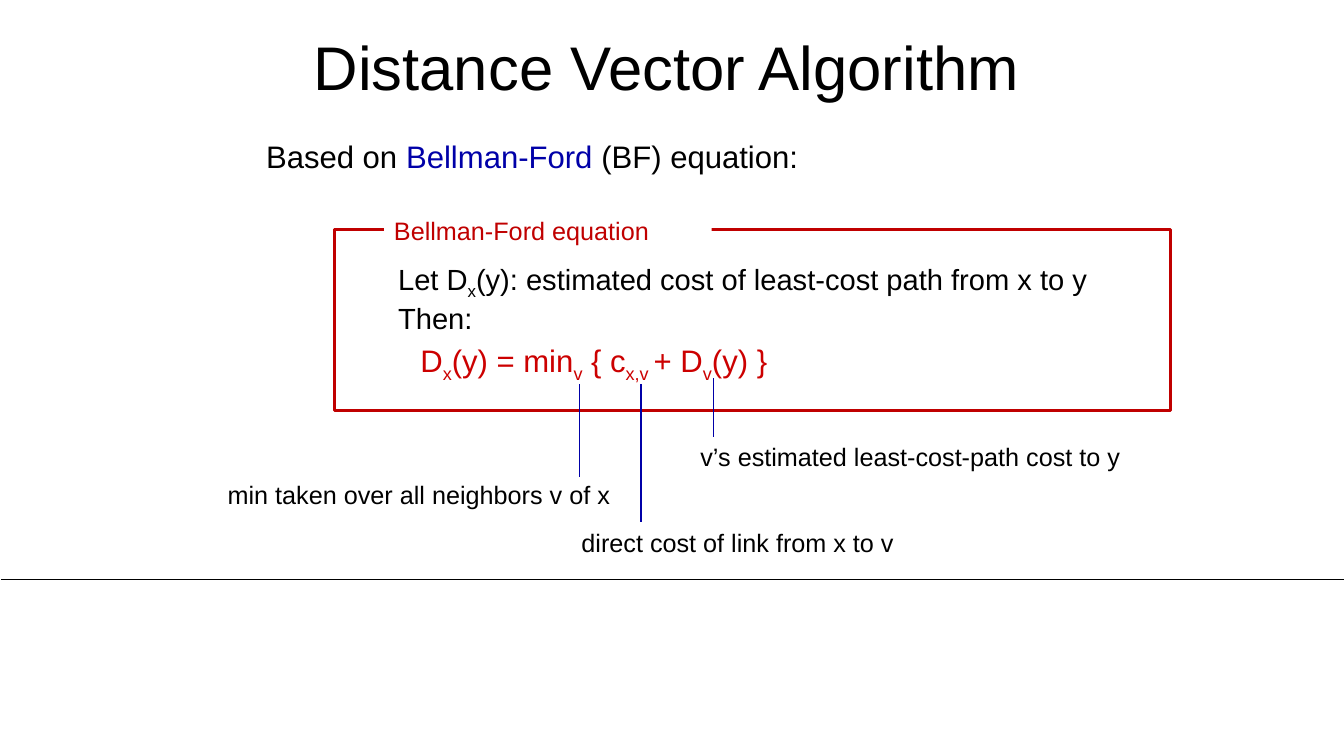
import pptx
import pptx.dml.color
import pptx.enum.shapes
import pptx.enum.text
import pptx.oxml.ns
import pptx.util
from lxml import etree

RGBColor = pptx.dml.color.RGBColor
BLACK = RGBColor(0x00, 0x00, 0x00)
WHITE = RGBColor(0xFF, 0xFF, 0xFF)
BLUE = RGBColor(0x00, 0x00, 0xA8)
FRAME_RED = RGBColor(0xC0, 0x00, 0x00)
FORMULA_RED = RGBColor(0xCC, 0x00, 0x00)
ANCHOR = pptx.enum.text.MSO_ANCHOR
ALIGN = pptx.enum.text.PP_ALIGN


class SlideBuilder:
    """Places elements on a grid of 40 columns and 30 rows."""
    FONT = "Arial"
    COLUMNS, ROWS = 40, 30

    def __init__(self, deck, layout):
        self.column = deck.slide_width / self.COLUMNS
        self.row = deck.slide_height / self.ROWS
        self.slide = deck.slides.add_slide(layout)

    def area(self, left, top, width, height):
        return (round(left * self.column), round(top * self.row),
                round(width * self.column), round(height * self.row))

    def add_runs(self, paragraph, runs, size, spacing=1.0, before=0,
                 indent=0.0, hanging=0.0, align=ALIGN.LEFT):
        """Each run is (text, colour) or (text, colour, True) for a subscript."""
        paragraph.alignment = align
        paragraph.line_spacing = spacing
        paragraph.space_before = pptx.util.Pt(before)
        properties = paragraph._p.get_or_add_pPr()
        properties.set("marL", str(pptx.util.Inches(indent)))
        properties.set("indent", str(pptx.util.Inches(-hanging)))
        etree.SubElement(properties, pptx.oxml.ns.qn("a:buNone"))
        for text, colour, *subscript in runs:
            run = paragraph.add_run()
            run.text = text
            run.font.name = self.FONT
            run.font.size = pptx.util.Pt(size)
            run.font.color.rgb = colour
            if subscript:
                run.font._element.set("baseline", "-25000")

    def prepare(self, frame, anchor=ANCHOR.TOP):
        frame.word_wrap = True
        frame.auto_size = pptx.enum.text.MSO_AUTO_SIZE.NONE
        frame.vertical_anchor = anchor
        return frame

    def placeholder(self, index, area, runs, size, anchor, **style):
        holder = self.slide.placeholders[index]
        holder.left, holder.top, holder.width, holder.height = self.area(*area)
        frame = self.prepare(holder.text_frame, anchor)
        self.add_runs(frame.paragraphs[0], runs, size, **style)

    def text(self, area):
        return self.prepare(
            self.slide.shapes.add_textbox(*self.area(*area)).text_frame)

    def note(self, area, text):
        self.add_runs(self.text(area).paragraphs[0], [(text, BLACK)], 18)

    def rectangle(self, area, fill=None, line=None, width=2):
        box = self.slide.shapes.add_shape(
            pptx.enum.shapes.MSO_SHAPE.RECTANGLE, *self.area(*area))
        box.shadow.inherit = False
        if fill is None:
            box.fill.background()
        else:
            box.fill.solid()
            box.fill.fore_color.rgb = fill
        if line is None:
            box.line.fill.background()
        else:
            box.line.color.rgb = line
            box.line.width = pptx.util.Pt(width)
        return box

    def line(self, start, end, colour, width):
        ends = [round(share) for column, row in (start, end)
                for share in (column * self.column, row * self.row)]
        rule = self.slide.shapes.add_connector(
            pptx.enum.shapes.MSO_CONNECTOR.STRAIGHT, *ends)
        rule.line.color.rgb = colour
        rule.line.width = pptx.util.Pt(width)
        etree.SubElement(rule._element.spPr, pptx.oxml.ns.qn("a:effectLst"))


def main():
    deck = pptx.Presentation()
    deck.slide_width = pptx.util.Inches(13.33)
    deck.slide_height = pptx.util.Inches(7.5)
    page = SlideBuilder(deck, deck.slide_layouts[1])

    # Footer rule
    page.line((0.03, 23), (40, 23), BLACK, 0.5)

    # Title and lead sentence
    page.placeholder(0, (7.17, 0.8, 25.86, 4.04),
                     [("Distance Vector Algorithm ", BLACK)], 44,
                     ANCHOR.MIDDLE, spacing=0.9, align=ALIGN.CENTER)
    page.placeholder(1, (7.29, 5.52, 26.61, 1.68),
                     [("Based on ", BLACK), ("Bellman-Ford", BLUE),
                      (" (BF) equation:", BLACK)], 22.2,
                     ANCHOR.TOP, spacing=0.8, indent=0.11)

    # Definition and equation
    equation = page.text((11.19, 10.48, 22.77, 6.48))
    equation.margin_left = equation.margin_right = pptx.util.Inches(0.07)
    equation.margin_top = equation.margin_bottom = pptx.util.Inches(0.04)
    definition = [("Let D", BLACK), ("x", BLACK, True),
                  ("(y): estimated cost of least-cost path from x to y", BLACK)]
    formula = [("D", FORMULA_RED), ("x", FORMULA_RED, True),
               ("(y) = min", FORMULA_RED), ("v", FORMULA_RED, True),
               (" { c", FORMULA_RED), ("x,v ", FORMULA_RED, True),
               ("+ D", FORMULA_RED), ("v", FORMULA_RED, True),
               ("(y) }", FORMULA_RED)]
    page.add_runs(equation.paragraphs[0], definition, 20.8, 0.7,
                  indent=0.39, hanging=0.24)
    page.add_runs(equation.add_paragraph(), [("Then:", BLACK)], 20.8, 0.7, 10,
                  indent=0.39, hanging=0.24)
    page.add_runs(equation.add_paragraph(), formula, 22.2, 0.7, 10, indent=0.37)

    # Frame with its heading
    page.rectangle((9.96, 9.12, 24.87, 7.16), line=FRAME_RED)
    heading = page.rectangle((11.43, 8.36, 9.75, 1.6), fill=WHITE)
    page.add_runs(page.prepare(heading.text_frame).paragraphs[0],
                  [("Bellman-Ford equation", FRAME_RED)], 18)

    # Explanations of the terms: text, left, top, width, pointer column and rows
    for text, left, top, width, pointer, first, last in (
            ("min taken over all neighbors v of x",
             6.48, 18.84, 12.21, 17.25, 15.24, 18.92),
            ("v’s estimated least-cost-path cost to y",
             20.55, 17.32, 13.32, 21.24, 15, 17.36),
            ("direct cost of link from x to v",
             17.01, 20.72, 10.23, 19.08, 15.24, 20.72)):
        page.note((left, top, width, 1.6), text)
        page.line((pointer, first), (pointer, last), BLUE, 1)

    deck.save("out.pptx")


if __name__ == "__main__":
    main()
